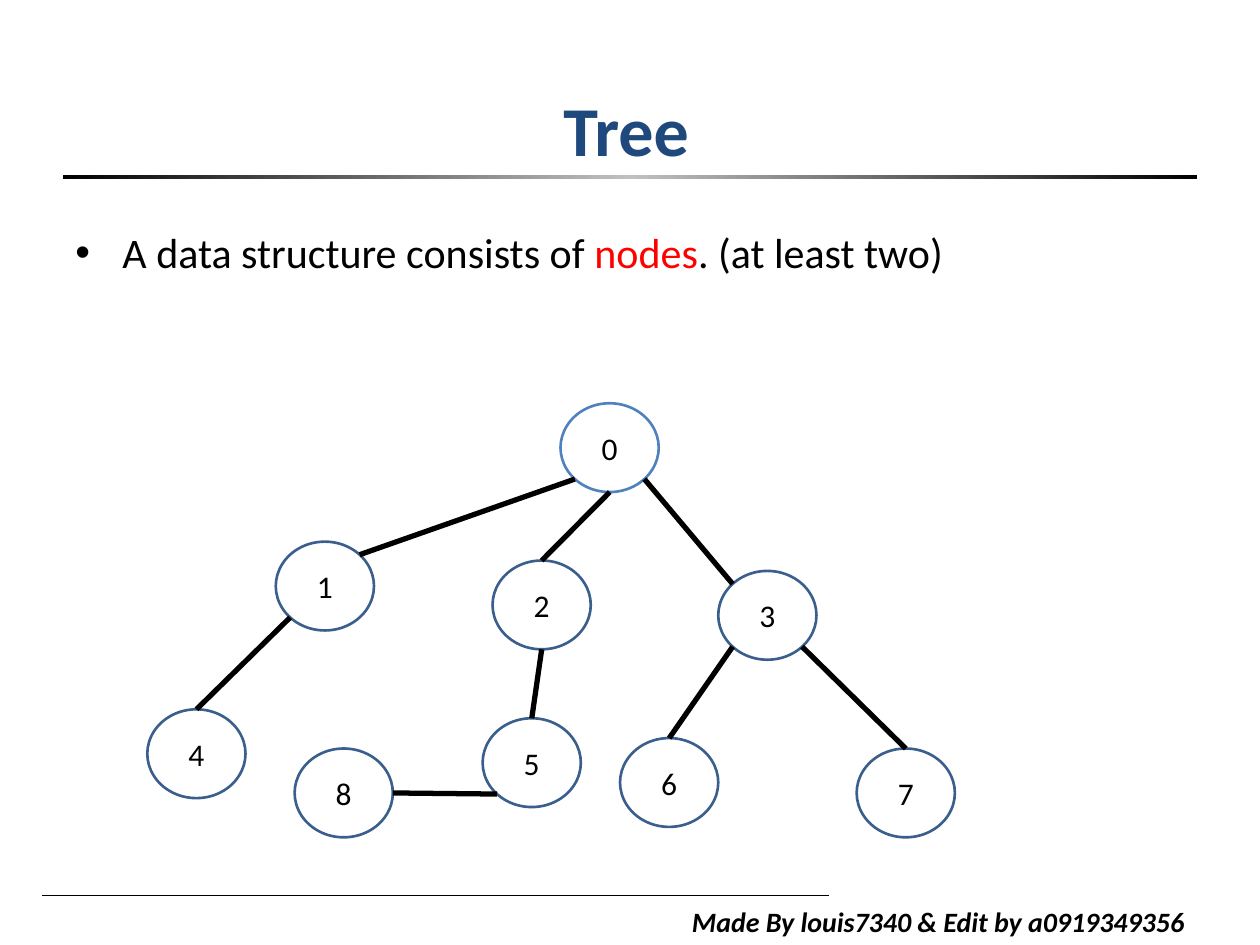
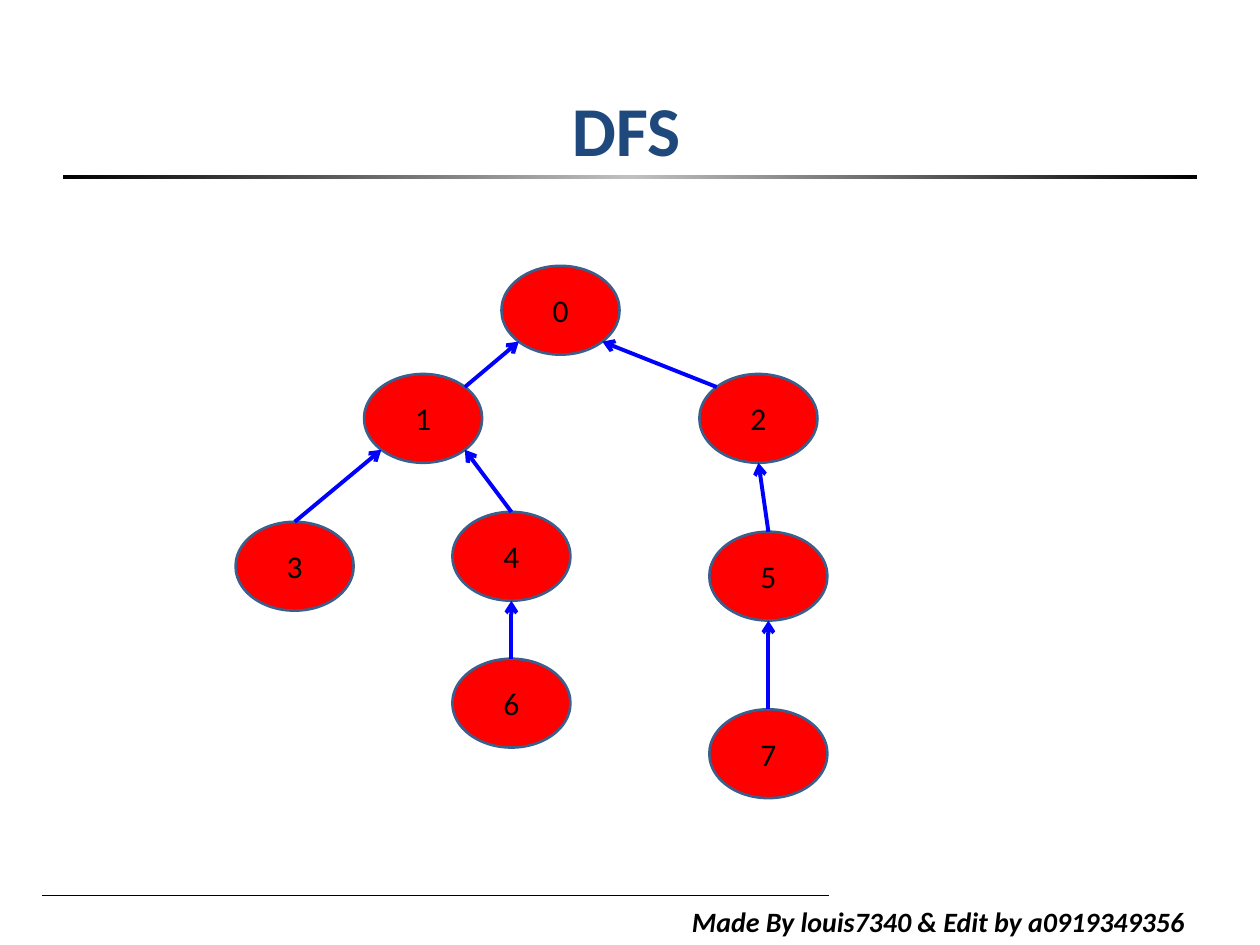
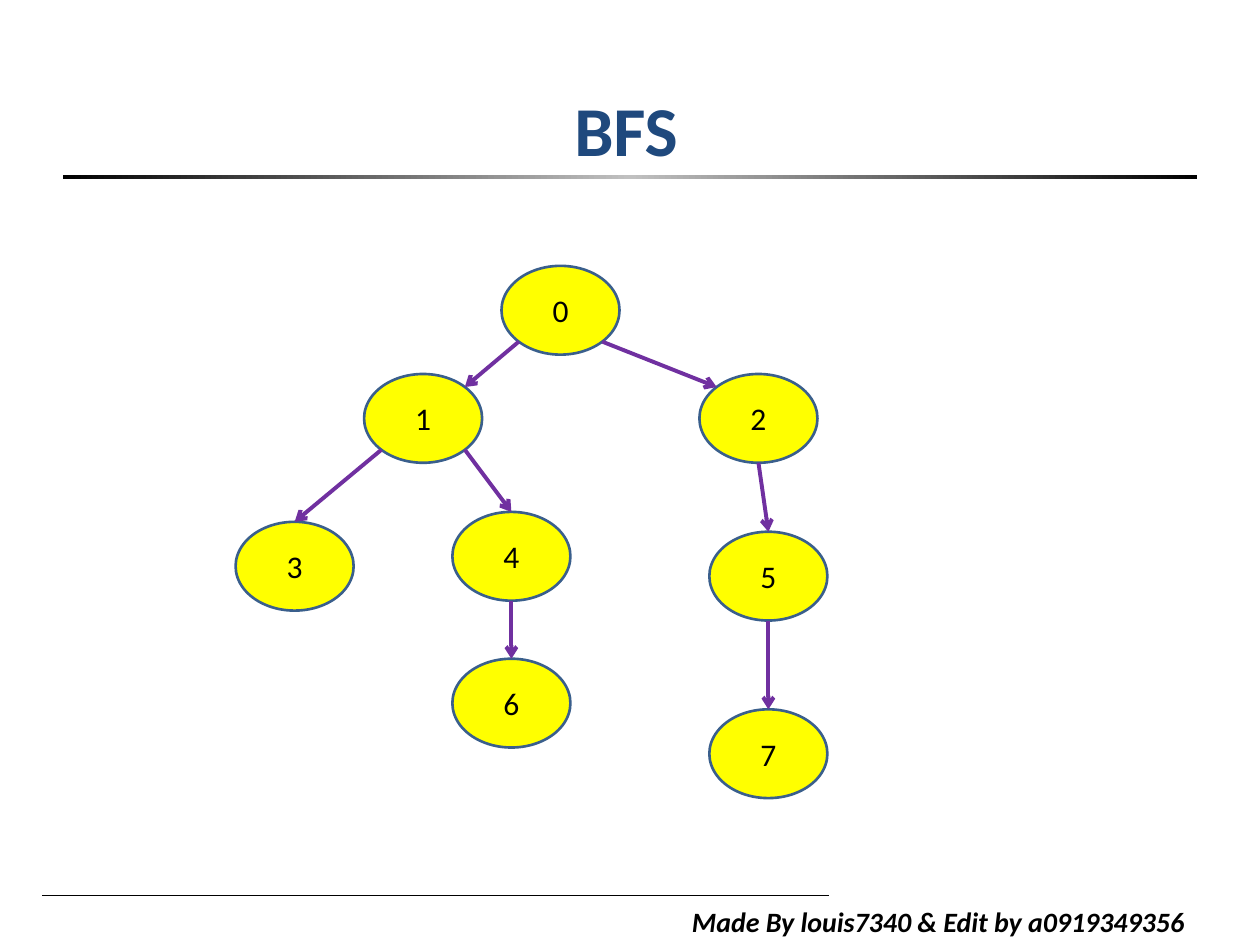
from copy import deepcopy
from math import sqrt

from lxml.etree import SubElement
from pptx import Presentation
from pptx.dml.color import RGBColor as Rgb
from pptx.enum.shapes import MSO_CONNECTOR as Connector, MSO_SHAPE as Shape
from pptx.enum.text import MSO_ANCHOR as Anchor, PP_ALIGN as Align
from pptx.oxml.ns import qn
from pptx.util import Cm, Pt

FONT = "Calibri"
COLORS = {
    "black": "000000", "white": "FFFFFF", "silver": "C0C0C0",
    "title": "1F497D", "outline": "3A5F8C", "root outline": "4F81BD",
    "red": "FF0000", "yellow": "FFFF00", "blue": "0000FF", "purple": "7030A0",
}
CREDIT = "Made By louis7340 & Edit by a0919349356"
NODE_HEIGHT = 1.79

# Points on a node's outline, as offsets from its centre in half widths and half heights
D = sqrt(0.5)
SITES = {
    "top": (0, -1), "bottom": (0, 1), "right": (1, 0),
    "top left": (-D, -D), "top right": (D, -D),
    "bottom left": (-D, D), "bottom right": (D, D),
}

# Left and top of each node in cm
tree_nodes = {
    0: (11.3, 8.13), 1: (5.56, 10.92), 4: (2.97, 14.3), 2: (9.93, 11.3), 5: (9.73, 14.48),
    8: (5.94, 15.09), 3: (14.48, 11.51), 6: (12.5, 14.88), 7: (17.27, 15.09),
}
search_nodes = {
    0: (10.11, 5.36), 1: (7.34, 7.54), 3: (4.75, 10.52), 4: (9.12, 10.32),
    2: (14.1, 7.54), 6: (9.12, 13.28), 5: (14.3, 10.72), 7: (14.3, 14.3),
}

# Each edge joins a parent and its site to a child and its site
tree_edges = [
    ((0, "bottom left"), (1, "top right")),
    ((1, "bottom left"), (4, "top")),
    ((0, "bottom"), (2, "top")),
    ((2, "bottom"), (5, "top")),
    ((5, "bottom left"), (8, "right")),
    ((0, "bottom right"), (3, "top left")),
    ((3, "bottom left"), (6, "top")),
    ((3, "bottom right"), (7, "top")),
]
bfs_edges = [
    ((0, "bottom left"), (1, "top right")),
    ((0, "bottom right"), (2, "top left")),
    ((1, "bottom left"), (3, "top")),
    ((1, "bottom right"), (4, "top")),
    ((2, "bottom"), (5, "top")),
    ((4, "bottom"), (6, "top")),
    ((5, "bottom"), (7, "top")),
]
dfs_edges = [(child, parent) for parent, child in bfs_edges]

# Title, nodes, node width, node fill, edges, edge colour, edge weight, arrows
graphs = [
    ("Tree", tree_nodes, 1.98, "white", tree_edges, "black", 3, False),
    ("DFS", search_nodes, 2.38, "red", dfs_edges, "blue", 2.25, True),
    ("BFS", search_nodes, 2.38, "yellow", bfs_edges, "purple", 2.25, True),
]


def add_run(paragraph, text, size, color="black", bold=False, italic=False):
    run = paragraph.add_run()
    run.text = text
    run.font.name, run.font.size = FONT, Pt(size)
    run.font.bold, run.font.italic = bold, italic
    run.font.color.rgb = Rgb.from_string(COLORS[color])


def add_line(slide, start, end, color, weight, arrow=False):
    """Join two points given in cm."""
    line = slide.shapes.add_connector(Connector.STRAIGHT, *map(Cm, start + end))
    line.line.color.rgb = Rgb.from_string(COLORS[color])
    line.line.width = Pt(weight)
    if arrow:
        SubElement(line.line._get_or_add_ln(), qn("a:tailEnd"), type="arrow")
    SubElement(line._element.spPr, qn("a:effectLst"))


prs = Presentation()
prs.slide_width, prs.slide_height = Cm(25.4), Cm(19.05)
title_only = prs.slide_layouts[5]

for heading, nodes, node_width, node_fill, edges, edge_color, weight, arrow in graphs:
    slide = prs.slides.add_slide(title_only)

    # Footer
    add_line(slide, (0.85, 18.06), (16.72, 18.06), "black", 0.5)
    footer = slide.shapes.add_textbox(Cm(13.7), Cm(18.1), Cm(11.35), Cm(1.63)).text_frame
    footer.word_wrap = True
    add_run(footer.paragraphs[0], CREDIT, 16, bold=True, italic=True)

    # Title and the shaded band below it
    band = slide.shapes.add_shape(Shape.RECTANGLE, Cm(1.27), Cm(3.53), Cm(22.86), Cm(0.08))
    band.shadow.inherit = False
    band.line.fill.background()
    band.fill.gradient()
    band.fill.gradient_angle = 0
    stops = band._element.spPr.find(".//" + qn("a:gsLst"))
    stops.insert(1, deepcopy(stops[0]))
    for stop, position, shade in zip(band.fill.gradient_stops, (0, 0.5, 1),
                                     ("black", "silver", "black")):
        stop.position = position
        stop.color.rgb = Rgb.from_string(COLORS[shade])

    title = slide.shapes.title
    title.left, title.top, title.width, title.height = Cm(1.19), Cm(1), Cm(22.86), Cm(3.18)
    title.text_frame.vertical_anchor = Anchor.MIDDLE
    title.text_frame.paragraphs[0].alignment = Align.CENTER
    add_run(title.text_frame.paragraphs[0], heading, 40, "title", bold=True)

    # Definition
    if heading == "Tree":
        body = slide.shapes.add_textbox(Cm(1.27), Cm(4.45), Cm(22.86), Cm(12.57)).text_frame
        body.word_wrap = True
        definition = body.paragraphs[0]
        definition.space_before = Pt(4.8)
        bullet = definition._p.get_or_add_pPr()
        bullet.set("marL", str(Cm(0.95)))
        bullet.set("indent", str(-Cm(0.95)))
        SubElement(bullet, qn("a:buFont"), typeface="Arial")
        SubElement(bullet, qn("a:buChar"), char="•")
        add_run(definition, "A data structure consists of ", 24)
        add_run(definition, "nodes", 24, "red")
        add_run(definition, ". (at least two)", 24)

    # Nodes
    for number, (left, top) in nodes.items():
        node = slide.shapes.add_shape(Shape.OVAL, Cm(left), Cm(top), Cm(node_width), Cm(NODE_HEIGHT))
        node.shadow.inherit = False
        node.fill.solid()
        node.fill.fore_color.rgb = Rgb.from_string(COLORS[node_fill])
        outline = "root outline" if heading == "Tree" and number == 0 else "outline"
        node.line.color.rgb = Rgb.from_string(COLORS[outline])
        node.line.width = Pt(1.5)
        node.text_frame.vertical_anchor = Anchor.MIDDLE
        node.text_frame.paragraphs[0].alignment = Align.CENTER
        add_run(node.text_frame.paragraphs[0], str(number), 18)

    # Edges
    for edge in edges:
        start, end = [
            (nodes[number][0] + node_width / 2 * (1 + SITES[site][0]),
             nodes[number][1] + NODE_HEIGHT / 2 * (1 + SITES[site][1]))
            for number, site in edge
        ]
        add_line(slide, start, end, edge_color, weight, arrow)

prs.save("out.pptx")
